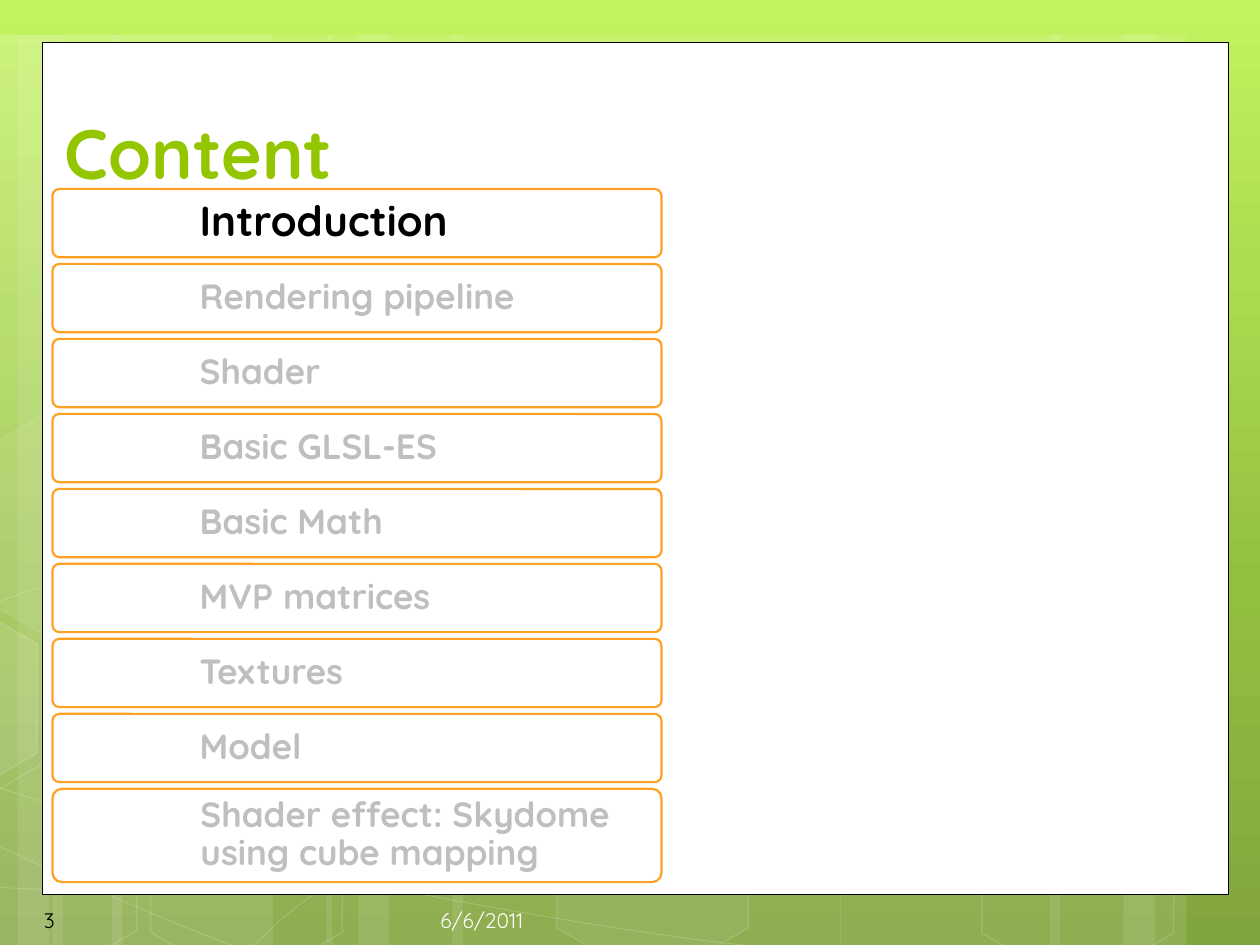
from copy import deepcopy

from lxml import etree
from pptx import Presentation
from pptx.dml.color import RGBColor
from pptx.enum.shapes import MSO_SHAPE
from pptx.enum.text import MSO_ANCHOR, PP_ALIGN
from pptx.oxml.ns import qn
from pptx.util import Pt

RECT, HEX, ROUND = MSO_SHAPE.RECTANGLE, MSO_SHAPE.HEXAGON, MSO_SHAPE.ROUNDED_RECTANGLE
MIDDLE, BOTTOM = MSO_ANCHOR.MIDDLE, MSO_ANCHOR.BOTTOM
LEFT, RIGHT = PP_ALIGN.LEFT, PP_ALIGN.RIGHT

# Content
TITLE, NUMBER, DATE = "Content", "3", "6/6/2011"
TOPICS = [
    "Introduction", "Rendering pipeline", "Shader", "Basic GLSL-ES", "Basic Math",
    "MVP matrices", "Textures", "Model", "Shader effect: Skydome using cube mapping",
]
ACTIVE = 0

THEME = {
    "font": "Quicksand", "title": "94C600", "on": "000000", "off": "BFBFBF",
    "date": "FEFEFE", "white": "FFFFFF", "edge": "FEA022", "frame": "000000",
    "back": [(0, "C3F35F"), (0.62, "93BF3F"), (1, "81A53E")],
    "big": 40, "lead": 24, "body": 20, "small": 12,
}

# Backdrop, in points: stripes (left, width); hexagons (left, top, fill %, line %)
STRIPES = [
    (30, 126), (-24, 60), (64, 126), (-8, 36), (10, 60), (480, 126),
    (642, 36), (600, 60), (258.5, 222), (186.5, 36), (204.5, 60),
]
HEXES = [
    (310, 444, 6, 12), (-39.5, 445.5, 0, 12), (-37.5, 245, 7, 8),
    (78, 446.5, 0, 12), (553, 447, 0, 12),
]
SHARD = [(-42, 340.5), (-34, 336), (21.5, 368), (21, 430.5), (-33, 462), (-42, 458)]

# Curves: a start point, then three Bezier points for each part
CURVES = [
    [(-42.5, 504.7), (-3.6, 507), (35.3, 509.8), (89.3, 508.5), (143.3, 507.6),
     (210, 506), (282, 499), (354, 492), (456.5, 478), (522.7, 464.4),
     (588, 450.7), (656, 429), (677.5, 417)],
    [(-42.5, 363.6), (-21.6, 352.8), (-0.7, 341.3), (39.6, 331), (80.6, 320.4),
     (139, 304.6), (202.3, 299), (266.4, 293.8), (344, 293.8), (423.4, 299),
     (502.6, 304.6), (634.3, 327), (677.5, 332.6)],
    [(-43.2, 464.4), (44, 504), (130.3, 543.6), (193, 560)],
    [(-42.5, 436.3), (-20, 444), (2.9, 452), (44.6, 463.7), (86.4, 475),
     (149, 492.5), (209, 504.7), (269.3, 517), (345, 530), (404.6, 537.8),
     (464.4, 545), (528.5, 548), (566.6, 550.8), (604, 553), (614, 551.5),
     (633, 551.5), (651.6, 551.5), (664.6, 550), (677.5, 548.6)],
    [(126.7, 560), (139.7, 545.8), (152.6, 531.4), (170, 517.7), (187.2, 504.7),
     (211.7, 490.3), (231.8, 480.2), (252, 471), (264.2, 466.6), (290.2, 458.6),
     (316.8, 451.4), (365, 441.4), (390.2, 436.3), (416.2, 432), (419.8, 432),
     (442, 429.8), (464.4, 428.4), (499.7, 426.2), (524.2, 425.5),
     (549.4, 424.8), (590.4, 425.5), (590.4, 425.5)],
]
STEPS = 8

CARD = {"left": 30, "top": 108, "width": 348, "height": 39, "pitch": 42.85, "last": 53.3}

deck = Presentation()
deck.slide_width, deck.slide_height = Pt(720), Pt(540)
slide = deck.slides.add_slide(deck.slide_layouts[6])
shapes = slide.shapes


def rgb(code):
    return RGBColor.from_string(code)


def fade(node, rate):
    etree.SubElement(next(node.iter(qn("a:srgbClr"))), qn("a:alpha"), val=str(rate * 1000))


def paint(part, fill=None, line=None, width=1, clear=100, faint=100):
    """Set fill and line; clear and faint are their opacities in percent."""
    part.shadow.inherit = False
    props = part._element.spPr
    if fill:
        part.fill.solid()
        part.fill.fore_color.rgb = rgb(fill)
        if clear < 100:
            fade(props.find(qn("a:solidFill")), clear)
    else:
        part.fill.background()
    if line:
        part.line.color.rgb = rgb(line)
        part.line.width = Pt(width)
        if faint < 100:
            fade(props.find(qn("a:ln")), faint)
    else:
        part.line.fill.background()
    return part


def shape(kind, *area):
    return shapes.add_shape(kind, *map(Pt, area))


def trace(points, close):
    spots = [(Pt(x), Pt(y)) for x, y in points]
    path = shapes.build_freeform(*spots[0])
    path.add_line_segments(spots[1:], close=close)
    return path.convert_to_shape()


def bend(knots):
    """Sample a chain of cubic Bezier parts."""
    points = [knots[0]]
    for i in range(0, len(knots) - 1, 3):
        for step in range(1, STEPS + 1):
            t = step / STEPS
            rates = ((1 - t) ** 3, 3 * t * (1 - t) ** 2, 3 * t * t * (1 - t), t ** 3)
            points.append(tuple(sum(r * k[axis] for r, k in zip(rates, knots[i:i + 4]))
                                for axis in (0, 1)))
    return points


def write(part, text, size, color, bold=False, anchor=MIDDLE, align=LEFT, space=1, **inset):
    frame = part.text_frame
    para = frame.paragraphs[0]
    para.text = text
    sides = {f"margin_{side}": Pt(gap) for side, gap in inset.items()}
    looks = {"name": THEME["font"], "size": Pt(size), "bold": bold}
    for item, values in (
        (frame, {"word_wrap": True, "vertical_anchor": anchor, **sides}),
        (para, {"alignment": align, "line_spacing": space}),
        (para.runs[0].font, looks),
    ):
        for name, value in values.items():
            setattr(item, name, value)
    para.runs[0].font.color.rgb = rgb(color)


def label(area, *args, **looks):
    write(shapes.add_textbox(*map(Pt, area)), *args, **looks)


# Background gradient
back = slide.background.fill
back.gradient()
back.gradient_angle = 270
stops = back.gradient_stops
first = next(slide.background._cSld.iter(qn("a:gs")))
first.addnext(deepcopy(first))
for stop, (place, code) in zip(back.gradient_stops, THEME["back"]):
    stop.position = place
    stop.color.rgb = rgb(code)

# Backdrop pattern
white = THEME["white"]
for left, width in STRIPES:
    paint(shape(RECT, left, 20, width, 540), white, clear=10)
for knots in CURVES:
    paint(trace(bend(knots), False), line=white, width=0.5, faint=20)
for left, top, clear, faint in HEXES:
    tile = shape(HEX, left, top, 126, 109.5)
    tile.adjustments[0] = 0.285
    tile.rotation = 30
    paint(tile, white if clear else None, white, clear=clear, faint=faint)
paint(trace(SHARD, True), white, white, clear=10, faint=12)

# Panel, title and footer
paint(shape(RECT, 24, 24, 678, 487), white, THEME["frame"], 0.5)
label((30, 24, 666, 90), TITLE, THEME["big"], THEME["title"], bold=True, anchor=BOTTOM)
label((18, 511, 105, 29), NUMBER, THEME["small"], THEME["on"])
label((138, 511, 168, 29), DATE, THEME["small"], THEME["date"], align=RIGHT)

# Topic cards
for i, topic in enumerate(TOPICS):
    tall = CARD["last"] if i == len(TOPICS) - 1 else CARD["height"]
    card = shape(ROUND, CARD["left"], CARD["top"] + i * CARD["pitch"], CARD["width"], tall)
    card.adjustments[0] = 0.1
    paint(card, white, THEME["edge"], 1.25)
    size, color = ("lead", "on") if i == ACTIVE else ("body", "off")
    write(card, topic, THEME[size], THEME[color], bold=True, space=0.9,
          left=83, top=3.6, right=3.6, bottom=3.6)

deck.save("out.pptx")
